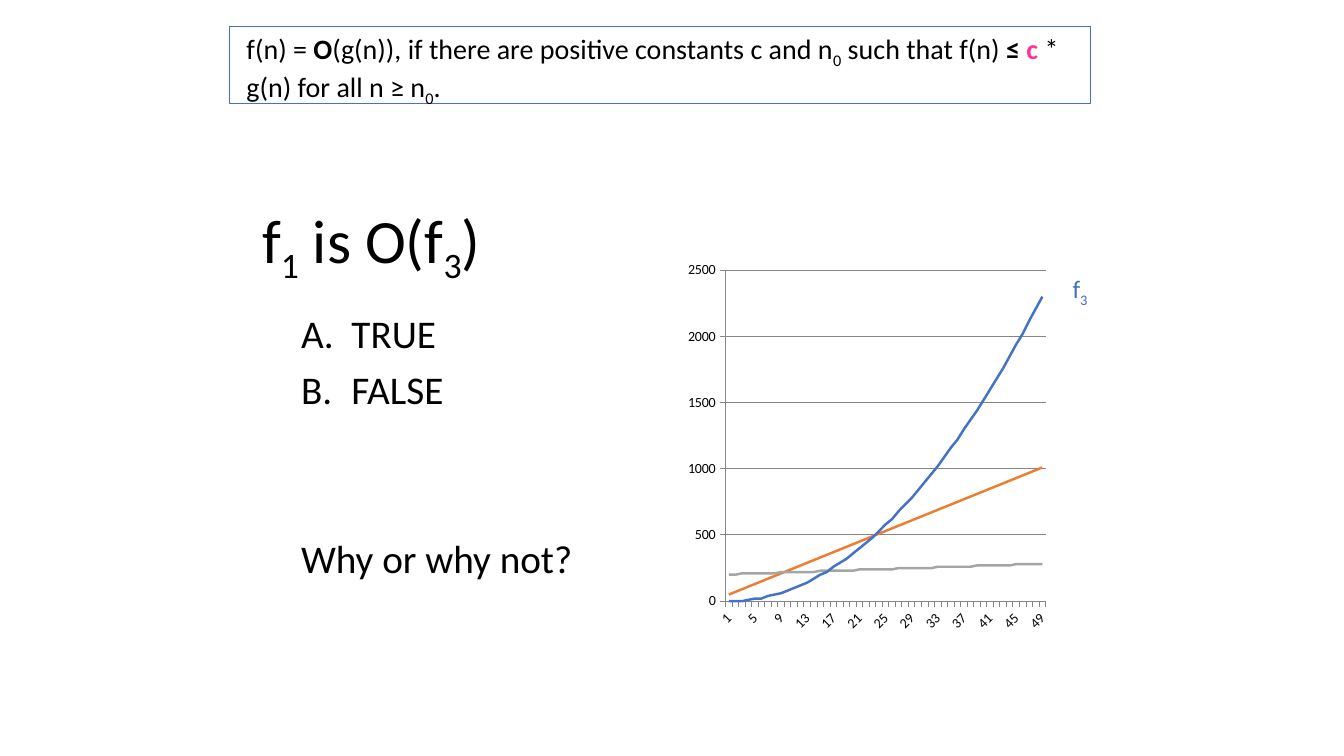
from lxml import etree
from pptx import Presentation
from pptx.chart.data import CategoryChartData as Data
from pptx.dml.color import RGBColor
from pptx.enum.chart import XL_CHART_TYPE as Kind, XL_TICK_MARK as Tick
from pptx.enum.shapes import MSO_SHAPE as Form
from pptx.enum.text import MSO_ANCHOR as Anchor, PP_ALIGN as Align
from pptx.oxml import parse_xml
from pptx.oxml.ns import nsdecls, qn
from pptx.util import Pt

BLACK, BLUE, PINK = "000000", "4472C4", "FF3399"


def color(code):
    return RGBColor.from_string(code)


def write(para, size, runs):
    """Add runs given as (text, style, colour); style "b" is bold, "s" subscript."""
    para.alignment = Align.LEFT
    for text, style, code in runs:
        run = para.add_run()
        run.text = text
        font = run.font
        font.name, font.size, font.bold = "Calibri", Pt(size), style == "b"
        font.color.rgb = color(code)
        if style == "s":
            font._element.set("baseline", "-25000")


deck = Presentation()
deck.slide_width, deck.slide_height = Pt(960), Pt(540)
slide = deck.slides.add_slide(deck.slide_layouts[5])
shapes = slide.shapes

# Title
title = shapes.title
title.left, title.top, title.width, title.height = Pt(180), Pt(126.7), Pt(553), Pt(90)
frame = title.text_frame
frame.word_wrap = True
frame.vertical_anchor = Anchor.MIDDLE
frame.paragraphs[0].line_spacing = 0.9
write(frame.paragraphs[0], 44, [
    ("f", "", BLACK), ("1", "s", BLACK), (" is O(f", "", BLACK),
    ("3", "s", BLACK), (")", "", BLACK)])

# Answers and question
frame = shapes.add_textbox(Pt(203), Pt(221), Pt(269), Pt(275)).text_frame
frame.word_wrap = True
for i, (text, gap) in enumerate([("TRUE", 0), ("FALSE", 10), ("Why or why not?", 90.5)]):
    para = frame.add_paragraph() if i else frame.paragraphs[0]
    props = para._p.get_or_add_pPr()
    props.set("marL", str(Pt(41 if i < 2 else 5)))
    props.set("indent", str(Pt(-36 if i < 2 else 0)))
    if i < 2:
        etree.SubElement(props, qn("a:buFont"), typeface="+mj-lt")
        etree.SubElement(props, qn("a:buAutoNum"), type="alphaUcPeriod")
    para.line_spacing = 0.9
    para.space_before = Pt(gap)
    write(para, 28, [(text, "", BLACK)])

# Growth chart
steps = range(1, 50)
data = Data()
data.categories = [str(n) for n in steps]
data.add_series("Series 1", [20 * n + 30 for n in steps])
data.add_series("Series 2", [200 + (n + 3) // 6 * 10 for n in steps])
data.add_series("Series 3", [round((n - 1) ** 2, -1) for n in steps])
chart = shapes.add_chart(
    Kind.LINE, Pt(486), Pt(182), Pt(269), Pt(275), data).chart
chart.has_legend = chart.has_title = False
chart.font.name, chart.font.size = "Calibri", Pt(10)
chart.font.color.rgb = color(BLACK)
for line, code in zip(chart.plots[0].series, ["ED7D31", "A5A5A5", BLUE]):
    line.smooth = False
    line.format.line.width = Pt(1.75)
    line.format.line.color.rgb = color(code)

cats, vals = chart.category_axis, chart.value_axis
vals.minimum_scale, vals.maximum_scale, vals.major_unit = 0, 2500, 500
vals.has_major_gridlines = True
for part in (cats, vals, vals.major_gridlines):
    part.format.line.width = Pt(0.75)
    part.format.line.color.rgb = color("868686")
for axis in (cats, vals):
    axis.major_tick_mark, axis.minor_tick_mark = Tick.OUTSIDE, Tick.NONE
    axis.tick_labels.font.size = Pt(10)
cats._element.find(qn("c:txPr")).find(qn("a:bodyPr")).set("rot", "-2700000")
skip = etree.Element(qn("c:tickLblSkip"), val="4")
cats._element.find(qn("c:noMultiLvlLbl")).addprevious(skip)

area = chart._chartSpace.chart.plotArea
for old in area.findall(qn("c:layout")):
    area.remove(old)
places = [("x", 0.12), ("y", 0.04), ("w", 0.85), ("h", 0.86)]
area.insert(0, parse_xml(
    f'<c:layout {nsdecls("c")}><c:manualLayout><c:layoutTarget val="inner"/>'
    '<c:xMode val="edge"/><c:yMode val="edge"/>'
    + "".join(f'<c:{key} val="{val}"/>' for key, val in places)
    + "</c:manualLayout></c:layout>"))

# Curve label
label = shapes.add_textbox(Pt(759), Pt(192), Pt(27), Pt(29))
label.text_frame.word_wrap = False
write(label.text_frame.paragraphs[0], 18, [("f", "", BLUE), ("3", "s", BLUE)])

# Definition
box = shapes.add_shape(Form.RECTANGLE, Pt(164), Pt(18.7), Pt(615), Pt(55.4))
box.shadow.inherit = False
box.fill.solid()
box.fill.fore_color.rgb = color("FFFFFF")
box.line.color.rgb = color(BLUE)
box.line.width = Pt(0.5)
frame = box.text_frame
frame.word_wrap = True
frame.vertical_anchor = Anchor.TOP
para = frame.paragraphs[0]
para._p.get_or_add_pPr().set("marL", str(Pt(5)))
write(para, 20, [
    ("f(n) = ", "", BLACK), ("O", "b", BLACK),
    ("(g(n)), if there are positive constants c and n", "", BLACK),
    ("0", "s", BLACK), (" such that f(n) ", "", BLACK), ("≤ ", "b", BLACK),
    ("c", "b", PINK), (" * g(n) for all n ≥ n", "", BLACK),
    ("0", "s", BLACK), (".", "", BLACK)])

deck.save("out.pptx")
